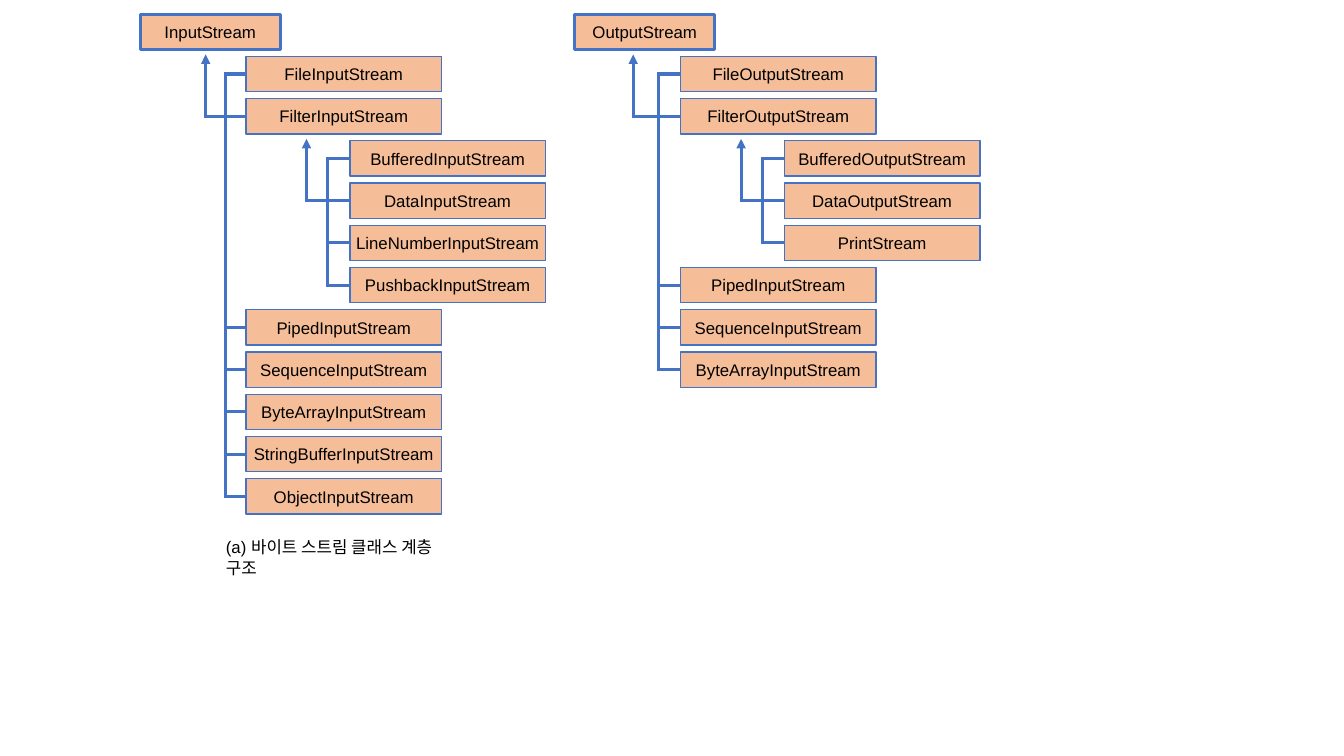
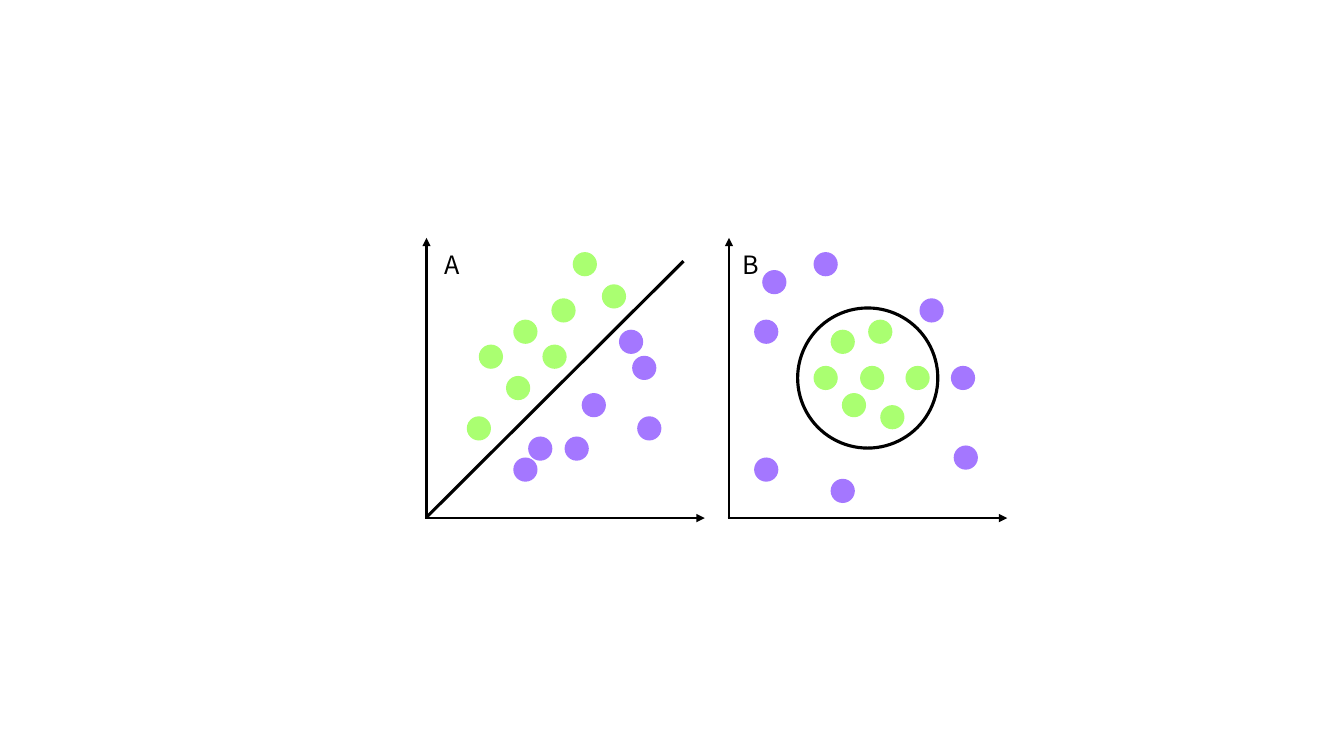
from dataclasses import dataclass

from lxml import etree
from pptx import Presentation
from pptx import util as u
from pptx.dml.color import RGBColor
from pptx.enum import shapes, text
from pptx.oxml import ns


@dataclass(frozen=True)
class Theme:
    box_fill: str = "F6BE98"
    tree_line: str = "4472C4"
    ink: str = "000000"
    paper: str = "FFFFFF"
    green: str = "AAFF71"
    purple: str = "A477FF"
    latin: str = "Arial"
    korean: str = "Noto Sans CJK KR"
    body_size: float = 12
    label_size: float = 18
    thin: float = 1
    axis: float = 1.5
    thick: float = 2.25


THEME = Theme()
SLIDE_WIDTH, SLIDE_HEIGHT = 13.33, 7.5

# Class tree grid, in inches
TREE_TOP, ROW_PITCH, ROW_HEIGHT = 0.14, 0.419, 0.35
LEVEL_LEFT = (0, 1.05, 2.08)
LEVEL_WIDTH = (1.39, 1.94, 1.94)
ARROW_GAP, CORNER = 0.05, 0.015

INPUT_TREE = ("InputStream", [
    ("FileInputStream", []),
    ("FilterInputStream", [
        ("BufferedInputStream", []),
        ("DataInputStream", []),
        ("LineNumberInputStream", []),
        ("PushbackInputStream", []),
    ]),
    ("PipedInputStream", []),
    ("SequenceInputStream", []),
    ("ByteArrayInputStream", []),
    ("StringBufferInputStream", []),
    ("ObjectInputStream", []),
])
OUTPUT_TREE = ("OutputStream", [
    ("FileOutputStream", []),
    ("FilterOutputStream", [
        ("BufferedOutputStream", []),
        ("DataOutputStream", []),
        ("PrintStream", []),
    ]),
    ("PipedInputStream", []),
    ("SequenceInputStream", []),
    ("ByteArrayInputStream", []),
])

# Dot centres as percentages of the plot's side, from its top left corner
LINEAR_GREEN = [(35.3, 33.5), (48.9, 25.9), (32.7, 53.6), (23, 42.4),
                (18.7, 68), (66.9, 20.9), (45.7, 42.4), (56.5, 9.4)]
LINEAR_PURPLE = [(35.3, 82.7), (40.6, 75.2), (53.6, 75.2), (59.7, 59.7),
                 (79.5, 68), (77.7, 46.4), (73, 37.1)]
RADIAL_GREEN = [(40.6, 37.1), (34.5, 50), (44.6, 59.7), (51.1, 50),
                (54, 33.5), (67.3, 50), (58.3, 64)]
RADIAL_PURPLE = [(13.3, 82.7), (34.5, 9.4), (16.2, 15.8), (13.3, 33.5),
                 (40.6, 90.3), (84.5, 78.4), (83.5, 50), (72.3, 25.9)]
PLOT_SIDE = 2.78
DOT_SHARE = 0.24 / PLOT_SIDE * 100


def inches(*lengths):
    return [u.Inches(length) for length in lengths]


def colour(value):
    return RGBColor.from_string(value)


def write(frame, words, size, font, align=text.PP_ALIGN.LEFT,
          anchor=text.MSO_ANCHOR.TOP):
    inset = u.Inches(0.05)
    frame_format = {"word_wrap": True, "vertical_anchor": anchor,
                    "margin_left": inset, "margin_right": inset,
                    "margin_top": inset, "margin_bottom": inset}
    for name, value in frame_format.items():
        setattr(frame, name, value)
    para = frame.paragraphs[0]
    para.alignment = align
    span = para.add_run()
    span.text = words
    for name, value in {"size": u.Pt(size), "name": font}.items():
        setattr(span.font, name, value)
    span.font.color.rgb = colour(THEME.ink)
    east_asian = etree.SubElement(span.font._element, ns.qn("a:ea"))
    east_asian.set("typeface", THEME.korean)


def add_text(page, box, words, size, font):
    write(page.shapes.add_textbox(*inches(*box)).text_frame, words, size, font)


def add_filled(page, kind, box, fill, line=None, width=0):
    shape = page.shapes.add_shape(kind, *inches(*box))
    shape.shadow.inherit = False
    shape.fill.solid()
    shape.fill.fore_color.rgb = colour(fill)
    if line:
        shape.line.color.rgb = colour(line)
        shape.line.width = u.Pt(width)
    else:
        shape.line.fill.background()
    return shape


def add_line(page, start, end, line, width, arrow=False):
    connector = page.shapes.add_connector(
        shapes.MSO_CONNECTOR.STRAIGHT, *inches(*start, *end))
    connector.line.color.rgb = colour(line)
    connector.line.width = u.Pt(width)
    if arrow:
        head = etree.SubElement(connector.line._get_or_add_ln(), ns.qn("a:tailEnd"))
        head.set("type", "triangle")
    etree.SubElement(connector._element.spPr, ns.qn("a:effectLst"))
    return connector


def row_middle(row):
    return TREE_TOP + row * ROW_PITCH + ROW_HEIGHT / 2


def add_class_box(page, left, row, level, name):
    box = (left + LEVEL_LEFT[level], TREE_TOP + row * ROW_PITCH,
           LEVEL_WIDTH[level], ROW_HEIGHT)
    shape = add_filled(page, shapes.MSO_SHAPE.RECTANGLE, box, THEME.box_fill,
                       THEME.tree_line, THEME.thin if level else THEME.thick)
    write(shape.text_frame, name, THEME.body_size, THEME.latin,
          text.PP_ALIGN.CENTER, text.MSO_ANCHOR.MIDDLE)
    return shape


def draw_tree(page, node, left, rails, row=0, level=0):
    """Draw a class and its subclasses; rails holds (arrow, trunk) offsets
    per level. Return the class box and the next free row."""
    name, children = node
    parent = add_class_box(page, left, row, level, name)
    next_row = row + 1
    branches = []
    for child in children:
        child_row = next_row
        box, next_row = draw_tree(page, child, left, rails, child_row, level + 1)
        branches.append((box, row_middle(child_row)))
    if branches:
        arrow_x, trunk_x = (left + offset for offset in rails[level])
        draw_branches(page, branches, arrow_x, trunk_x,
                      TREE_TOP + row * ROW_PITCH + ROW_HEIGHT + ARROW_GAP)
    return parent, next_row


def draw_branches(page, branches, arrow_x, trunk_x, arrow_tip):
    """Join sibling boxes by a trunk; the second one carries the arrow."""
    style = (THEME.tree_line, THEME.thick)
    middles = [middle for _, middle in branches]
    add_line(page, (trunk_x, middles[-1] + CORNER),
             (trunk_x, middles[0] - CORNER), *style)
    add_line(page, (arrow_x, middles[1] + CORNER), (arrow_x, arrow_tip),
             *style, arrow=True)
    for index, (box, middle) in enumerate(branches):
        start_x = arrow_x if index == 1 else trunk_x
        stub = add_line(page, (start_x, middle), (trunk_x, middle), *style)
        stub.end_connect(box, 1)


def plot_point(box, point):
    left, top, side = box
    return left + side * point[0] / 100, top + side * point[1] / 100


def add_circle(page, box, centre, share, *style):
    """Place a circle whose diameter is a percentage of the plot's side."""
    x, y = plot_point(box, centre)
    size = box[2] * share / 100
    add_filled(page, shapes.MSO_SHAPE.OVAL,
               (x - size / 2, y - size / 2, size, size), *style)


def draw_axes(page, box):
    for start, end in (((0, 100), (0, 0)), ((-0.5, 100), (99.3, 100))):
        add_line(page, plot_point(box, start), plot_point(box, end),
                 THEME.ink, THEME.axis, arrow=True)


def draw_dots(page, box, green, purple):
    for fill, centres in ((THEME.green, green), (THEME.purple, purple)):
        for centre in centres:
            add_circle(page, box, centre, DOT_SHARE, fill)


def draw_label(page, box, words, left):
    x, y = plot_point(box, (left, 2.2))
    add_text(page, (x, y, 0.28, 0.41), words, THEME.label_size, THEME.korean)


def draw_linear_plot(page, box):
    draw_axes(page, box)
    add_line(page, plot_point(box, (0.4, 99.3)), plot_point(box, (91.7, 8.3)),
             THEME.ink, THEME.thick)
    draw_dots(page, box, LINEAR_GREEN, LINEAR_PURPLE)
    draw_label(page, box, "A", 4.7)


def draw_radial_plot(page, box):
    draw_axes(page, box)
    add_circle(page, box, (49.5, 50), 50, THEME.paper, THEME.ink, THEME.thick)
    draw_dots(page, box, RADIAL_GREEN, RADIAL_PURPLE)
    draw_label(page, box, "B", 2.9)


def build_class_slide(page):
    draw_tree(page, INPUT_TREE, 1.39, [(0.65, 0.85), (1.65, 1.86)])
    draw_tree(page, OUTPUT_TREE, 5.7, [(0.58, 0.83), (1.65, 1.86)])
    add_text(page, (2.19, 5.28, 2.42, 0.31), "(a) 바이트 스트림 클래스 계층 구조",
             THEME.body_size, THEME.latin)


def build_plot_slide(page):
    top = (SLIDE_HEIGHT - PLOT_SIDE) / 2
    draw_linear_plot(page, (4.23, top, PLOT_SIDE))
    draw_radial_plot(page, (7.23, top, PLOT_SIDE))


def main():
    deck = Presentation()
    deck.slide_width, deck.slide_height = inches(SLIDE_WIDTH, SLIDE_HEIGHT)
    for build in (build_class_slide, build_plot_slide):
        build(deck.slides.add_slide(deck.slide_layouts[6]))
    deck.save("out.pptx")


if __name__ == "__main__":
    main()
